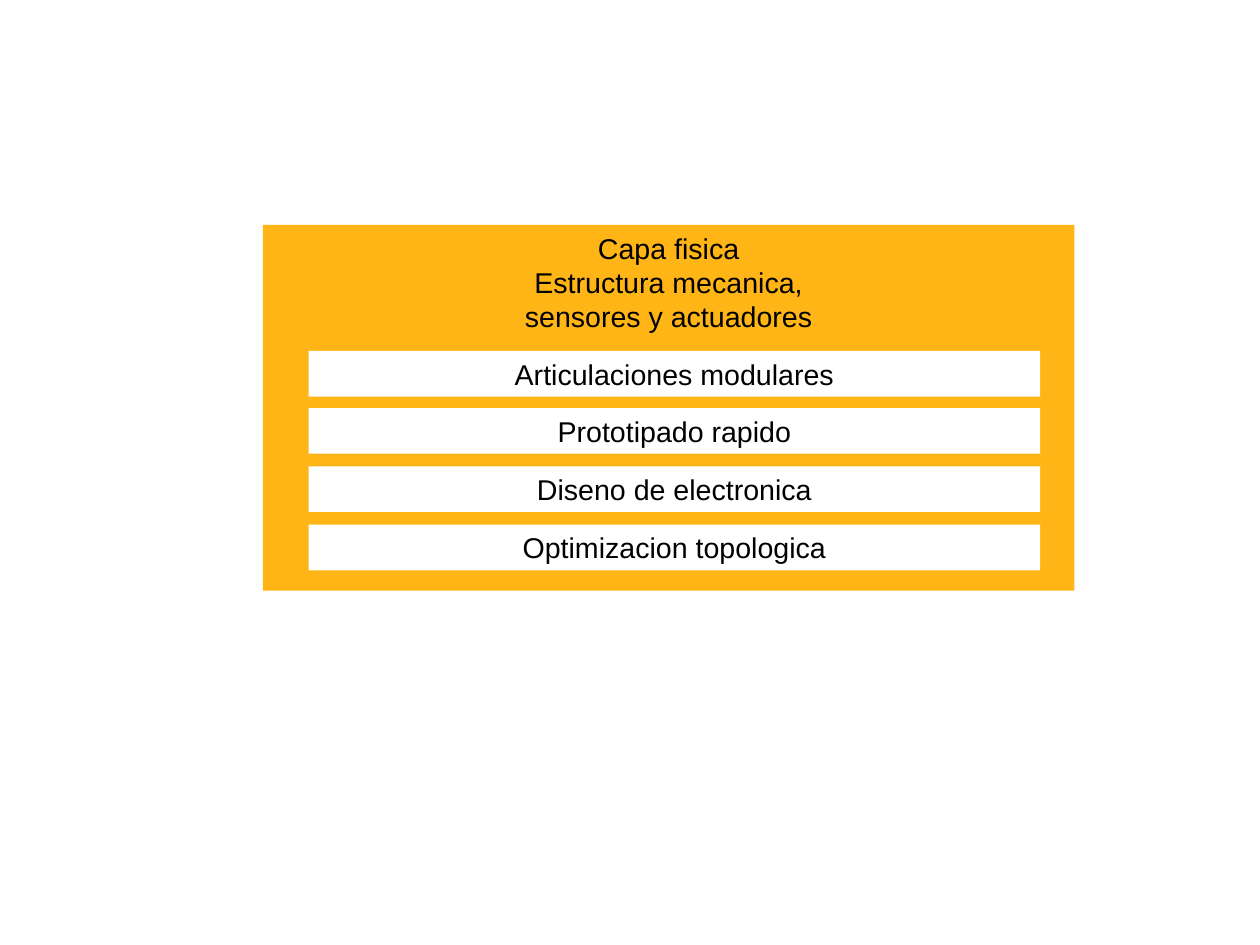
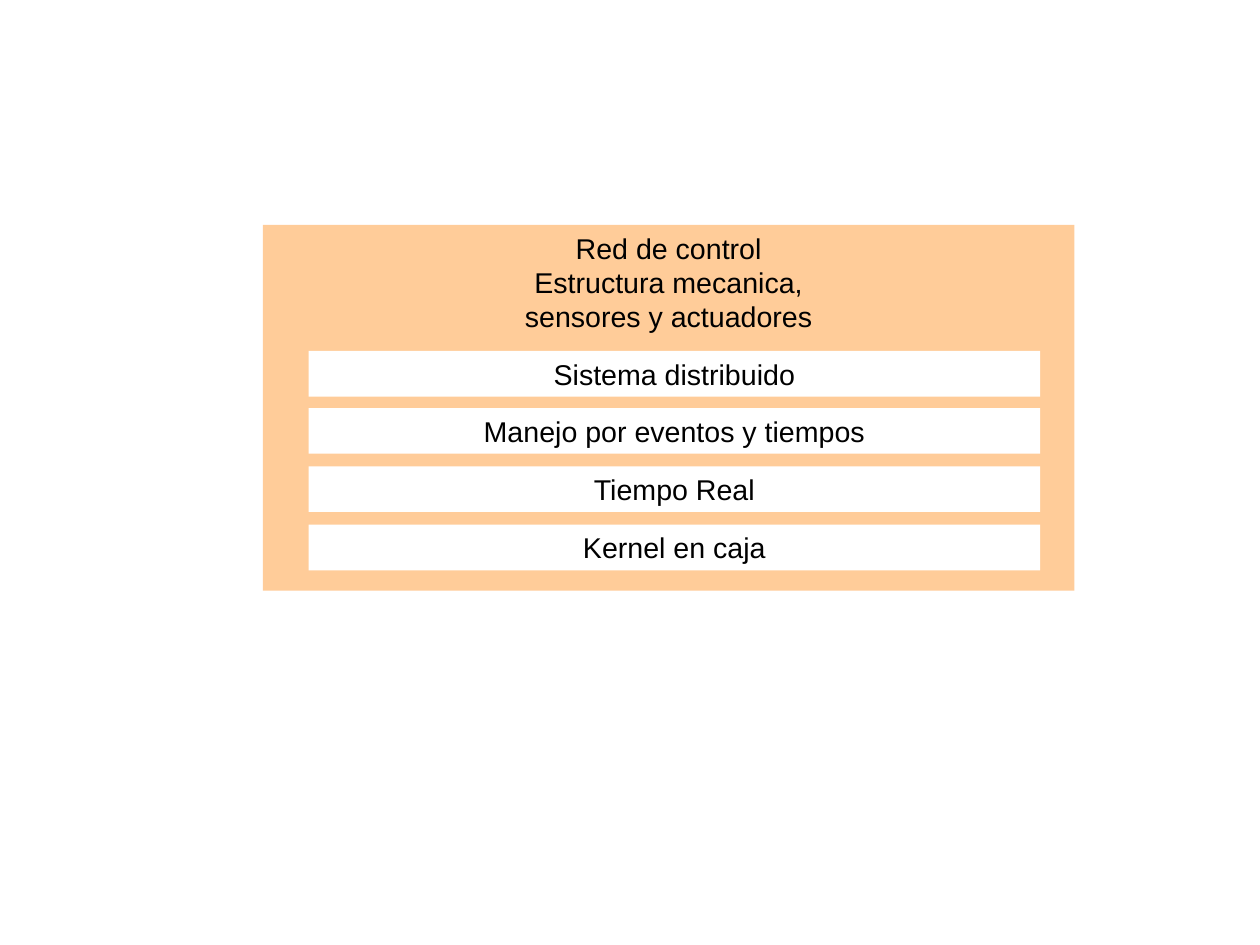
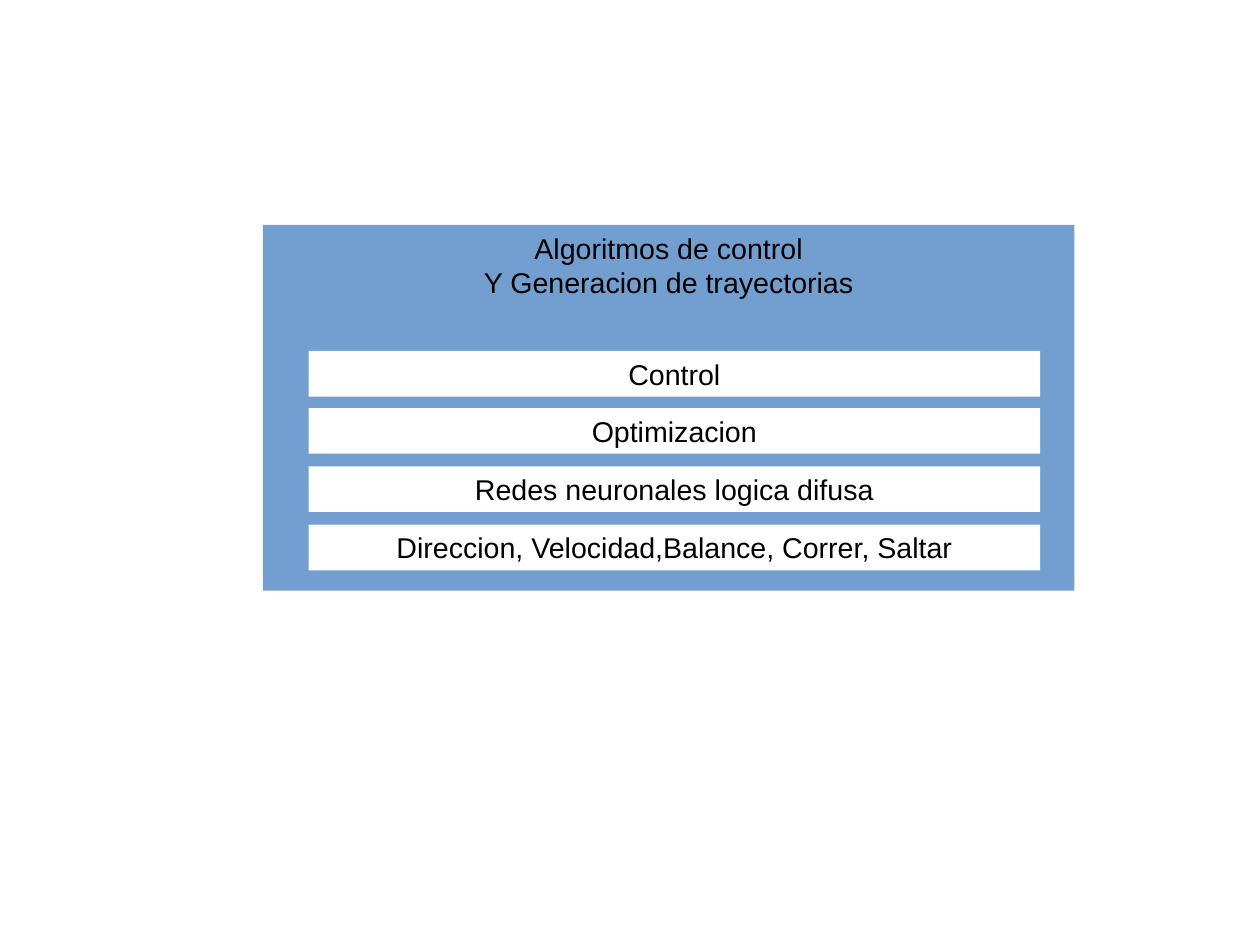
from pptx import Presentation
from pptx.dml.color import RGBColor
from pptx.enum.shapes import MSO_SHAPE
from pptx.enum.text import MSO_ANCHOR, PP_ALIGN
from pptx.util import Inches, Pt

COLORS = {
    "physical": "FFB515",
    "network": "FFCC99",
    "algorithms": "729FCF",
    "row": "FFFFFF",
    "text": "000000",
}
FONT, FONT_SIZE = "Arial", Pt(18)
CM_PER_INCH = 2.54

# Rows inside each layer panel
ROW_LEFT, ROW_WIDTH, ROW_HEIGHT = 2.7, 6.4, 0.4
ROW_TOPS = [3.07, 3.57, 4.08, 4.59]

# Panel colour, heading lines and rows of each slide
LAYERS = [
    ("physical",
     ["Capa fisica", "Estructura mecanica,", "sensores y actuadores"],
     ["Articulaciones modulares", "Prototipado rapido",
      "Diseno de electronica", "Optimizacion topologica"]),
    ("network",
     ["Red de control", "Estructura mecanica,", "sensores y actuadores"],
     ["Sistema distribuido", "Manejo por eventos y tiempos",
      "Tiempo Real", "Kernel en caja"]),
    ("algorithms",
     ["Algoritmos de control", "Y Generacion de trayectorias"],
     ["Control", "Optimizacion", "Redes neuronales logica difusa",
      "Direccion, Velocidad,Balance, Correr, Saltar"]),
]


def add_box(page, left, top, width, height, color, lines, anchor):
    """Add a borderless rectangle with centred lines of text."""
    box = page.shapes.add_shape(MSO_SHAPE.RECTANGLE, Inches(left), Inches(top),
                                Inches(width), Inches(height))
    box.shadow.inherit = False
    box.fill.solid()
    box.fill.fore_color.rgb = RGBColor.from_string(COLORS[color])
    box.line.fill.background()
    frame = box.text_frame
    frame.word_wrap = False
    frame.vertical_anchor = anchor
    for index, line in enumerate(lines):
        para = frame.add_paragraph() if index else frame.paragraphs[0]
        para.alignment = PP_ALIGN.CENTER
        span = para.add_run()
        span.text = line
        span.font.name = FONT
        span.font.size = FONT_SIZE
        span.font.color.rgb = RGBColor.from_string(COLORS["text"])


# Pages of 28 by 21 cm
deck = Presentation()
deck.slide_width = Inches(28 / CM_PER_INCH)
deck.slide_height = Inches(21 / CM_PER_INCH)

for color, heading, topics in LAYERS:
    page = deck.slides.add_slide(deck.slide_layouts[6])

    # Layer panel with its heading, 5 cm from the top
    add_box(page, 2.3, 5 / CM_PER_INCH, 7.1, 3.2, color, heading,
            MSO_ANCHOR.TOP)

    # Topic rows
    for top, topic in zip(ROW_TOPS, topics):
        add_box(page, ROW_LEFT, top, ROW_WIDTH, ROW_HEIGHT, "row", [topic],
                MSO_ANCHOR.MIDDLE)

deck.save("out.pptx")
